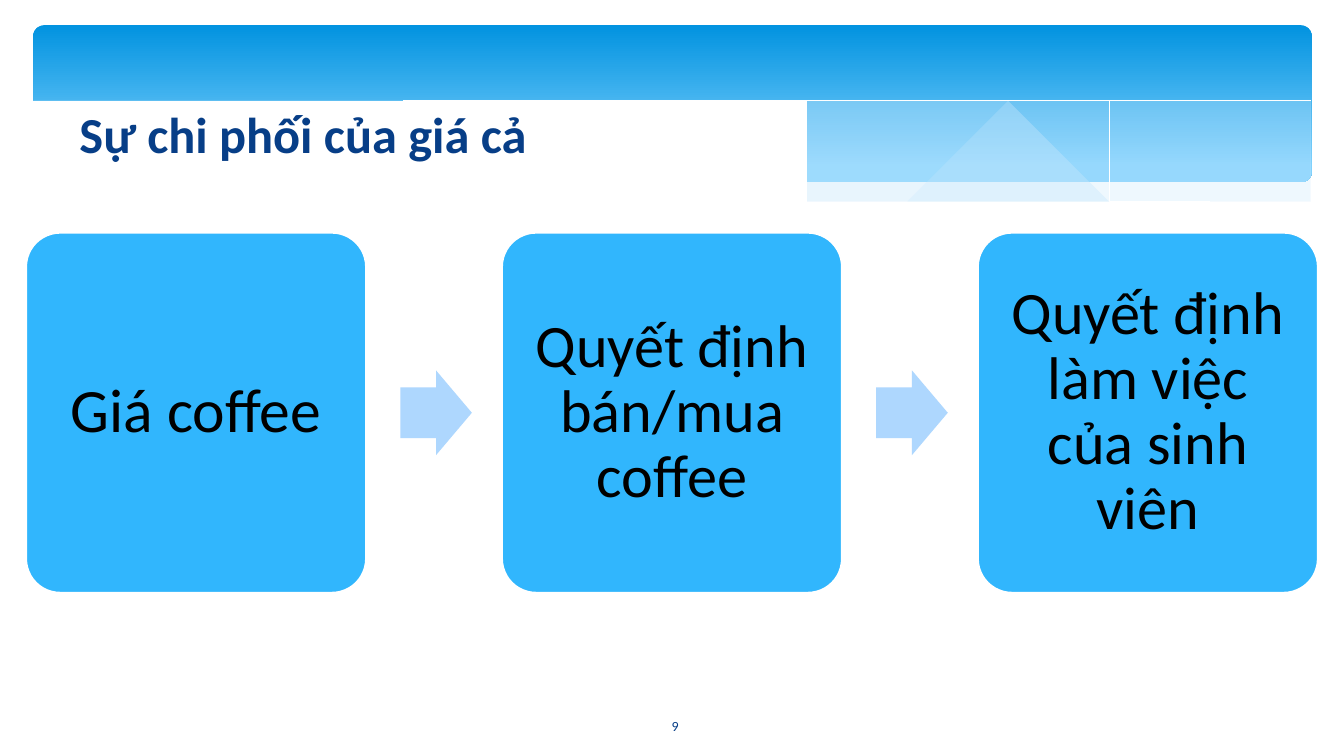
from dataclasses import dataclass

from lxml import etree
from pptx import Presentation
from pptx import util as u
from pptx.dml.color import RGBColor
from pptx.enum import shapes, text
from pptx.oxml import ns


@dataclass(frozen=True)
class Theme:
    font: str = "Calibri"
    navy: str = "073E87"
    black: str = "000000"
    white: str = "FFFFFF"
    sky: str = "31B6FD"
    arrow: str = "AED7FE"
    mist: str = "C6E7FC"
    banner_top: str = "0293E0"
    banner_bottom: str = "83D3FE"
    title: int = 36
    number: int = 10


THEME = Theme()
STEPS = [("Giá coffee", 44),
         ("Quyết định bán/mua coffee", 43),
         ("Quyết định làm việc của sinh viên", 43)]

# Wave outlines, in inches from the top left corner of the banner
RIGHT_TOP = [(12.68, 0.69), (11.94, 0.79), (11.14, 0.93), (10.05, 1.12),
             (9.08, 1.27), (8.49, 1.35)]
RIGHT_BOTTOM = [(8.49, 1.35), (9.25, 1.42), (10.08, 1.47), (10.93, 1.46),
                (11.74, 1.38), (12.68, 1.17)]
MIDDLE_TOP = [(11.57, 1.42), (10.43, 1.29), (9.08, 1.09), (8.06, 0.91),
              (7.07, 0.75), (6.19, 0.64), (5.27, 0.57), (4.26, 0.55),
              (3.49, 0.61)]
MIDDLE_BOTTOM = [(3.49, 0.61), (4.5, 0.72), (5.66, 0.91), (6.73, 1.1),
                 (7.69, 1.25), (8.74, 1.38), (9.65, 1.45), (10.57, 1.48),
                 (11.57, 1.42)]
FALLING_LINE = [(3.79, 0.65), (4.51, 0.58), (5.22, 0.56), (5.92, 0.58),
                (6.77, 0.63), (7.78, 0.73), (8.94, 0.89), (10.27, 1.11),
                (11.77, 1.41)]
RISING_LINE = [(7.85, 1.26), (8.63, 1.1), (9.64, 0.92), (10.82, 0.74),
               (11.61, 0.63), (12.17, 0.58), (12.68, 0.55)]
FRONT_TOP = [(12.7, 1.15), (12.07, 1.32), (11.34, 1.42), (10.64, 1.46),
             (9.82, 1.45), (8.85, 1.37), (7.71, 1.24), (6.38, 1.03),
             (5.63, 0.89), (4.53, 0.71), (3.57, 0.6), (2.49, 0.53),
             (1.61, 0.54), (0.94, 0.6), (0.46, 0.68), (0.15, 0.77),
             (-0.02, 0.82)]
FRONT_BASE = [(-0.02, 1.99), (12.7, 1.99)]


def rgb(color):
    return RGBColor.from_string(color)


def smooth(points, steps=6):
    """Round a polyline by Catmull-Rom interpolation."""
    ends = [points[0], *points, points[-1]]
    curve = [points[0]]
    for a, b, c, d in zip(ends, ends[1:], ends[2:], ends[3:]):
        for i in range(1, steps + 1):
            t = i / steps
            curve.append(tuple(
                (2 * q + (r - p) * t + (2 * p - 5 * q + 4 * r - s) * t ** 2
                 + (3 * q - p - 3 * r + s) * t ** 3) / 2
                for p, q, r, s in zip(a, b, c, d)))
    return curve


def add_outline(s, left, top, points, fill=None, opacity=None):
    """Draw a filled wave, or a white hairline when no fill is given."""
    path = [(left + x, top + y) for x, y in points]
    builder = s.shapes.build_freeform(*path[0], scale=u.Inches(1))
    builder.add_line_segments(path[1:], close=fill is not None)
    sp = builder.convert_to_shape()
    sp.shadow.inherit = False
    if fill is None:
        sp.fill.background()
        sp.line.color.rgb = rgb(THEME.white)
        sp.line.width = u.Pt(0)
        return
    sp.fill.solid()
    sp.fill.fore_color.rgb = rgb(fill)
    sp.line.fill.background()
    if opacity is not None:
        color = sp.fill._xPr.find(".//" + ns.qn("a:srgbClr"))
        etree.SubElement(color, ns.qn("a:alpha"), val=str(opacity * 1000))


def add_preset(s, kind, left, top, width, height, adjustments):
    sp = s.shapes.add_shape(kind, *map(u.Inches, (left, top, width, height)))
    for i, value in enumerate(adjustments):
        sp.adjustments[i] = value
    sp.shadow.inherit = False
    sp.line.fill.background()
    return sp


def set_text(sp, content, size, color, align=text.PP_ALIGN.LEFT,
             anchor=text.MSO_ANCHOR.TOP, bold=False):
    tf = sp.text_frame
    tf.word_wrap = True
    tf.vertical_anchor = anchor
    p = tf.paragraphs[0]
    p.text = content
    p.alignment = align
    p.font.name = THEME.font
    p.font.size = u.Pt(size)
    p.font.bold = bold
    p.font.color.rgb = rgb(color)
    return tf


def add_banner(s, left, top, width, height):
    sp = add_preset(s, shapes.MSO_SHAPE.ROUNDED_RECTANGLE,
                    left, top, width, height, [0.07])
    sp.fill.gradient()
    sp.fill.gradient_angle = 270
    first, last = sp.fill.gradient_stops
    first.color.rgb, first.position = rgb(THEME.banner_top), 0
    last.color.rgb, last.position = rgb(THEME.banner_bottom), 0.9
    add_outline(s, left, top, smooth(RIGHT_TOP) + smooth(RIGHT_BOTTOM),
                THEME.mist, 29)
    add_outline(s, left, top, smooth(MIDDLE_TOP) + smooth(MIDDLE_BOTTOM),
                THEME.mist, 40)
    for line in (FALLING_LINE, RISING_LINE):
        add_outline(s, left, top, smooth(line))
    add_outline(s, left, top, smooth(FRONT_TOP) + FRONT_BASE, THEME.white)


def add_title(s, left, top, width, height):
    box = s.shapes.add_textbox(*map(u.Inches, (left, top, width, height)))
    set_text(box, "Sự chi phối của giá cả", THEME.title, THEME.navy, bold=True)


def add_slide_number(s, left, top, width, height):
    box = s.shapes.add_textbox(*map(u.Inches, (left, top, width, height)))
    set_text(box, "9", THEME.number, THEME.navy, text.PP_ALIGN.CENTER,
             text.MSO_ANCHOR.MIDDLE)


def add_process(s, left, top, width, height):
    """Spread the steps over the width, with an arrow in each gap."""
    card_w, arrow_w, arrow_h = 3.37, 0.71, 0.84
    pitch = (width - card_w) / (len(STEPS) - 1)
    for i, (label, size) in enumerate(STEPS):
        x = left + i * pitch
        card = add_preset(s, shapes.MSO_SHAPE.ROUNDED_RECTANGLE,
                          x, top, card_w, height, [0.1])
        card.fill.solid()
        card.fill.fore_color.rgb = rgb(THEME.sky)
        card.line.color.rgb = rgb(THEME.white)
        card.line.width = u.Pt(1.25)
        tf = set_text(card, label, size, THEME.black, text.PP_ALIGN.CENTER,
                      text.MSO_ANCHOR.MIDDLE)
        tf.margin_left = tf.margin_right = u.Inches(0.18)
        tf.margin_top = tf.margin_bottom = u.Inches(0.18)
        tf.paragraphs[0].line_spacing = 0.9
        if i < len(STEPS) - 1:
            arrow = add_preset(s, shapes.MSO_SHAPE.RIGHT_ARROW,
                               x + card_w + 0.34, top + (height - arrow_h) / 2,
                               arrow_w, arrow_h, [0.6, 0.5])
            arrow.fill.solid()
            arrow.fill.fore_color.rgb = rgb(THEME.arrow)


def main():
    prs = Presentation()
    prs.slide_width, prs.slide_height = u.Inches(13.33), u.Inches(7.5)
    s = prs.slides.add_slide(prs.slide_layouts[6])
    add_banner(s, 0.33, 0.25, 12.68, 1.56)
    add_slide_number(s, 5.85, 7, 1.69, 0.4)
    add_title(s, 0.69, 0.97, 6.86, 0.89)
    add_process(s, 0.26, 2.31, 12.81, 3.57)
    prs.save("out.pptx")


if __name__ == "__main__":
    main()
